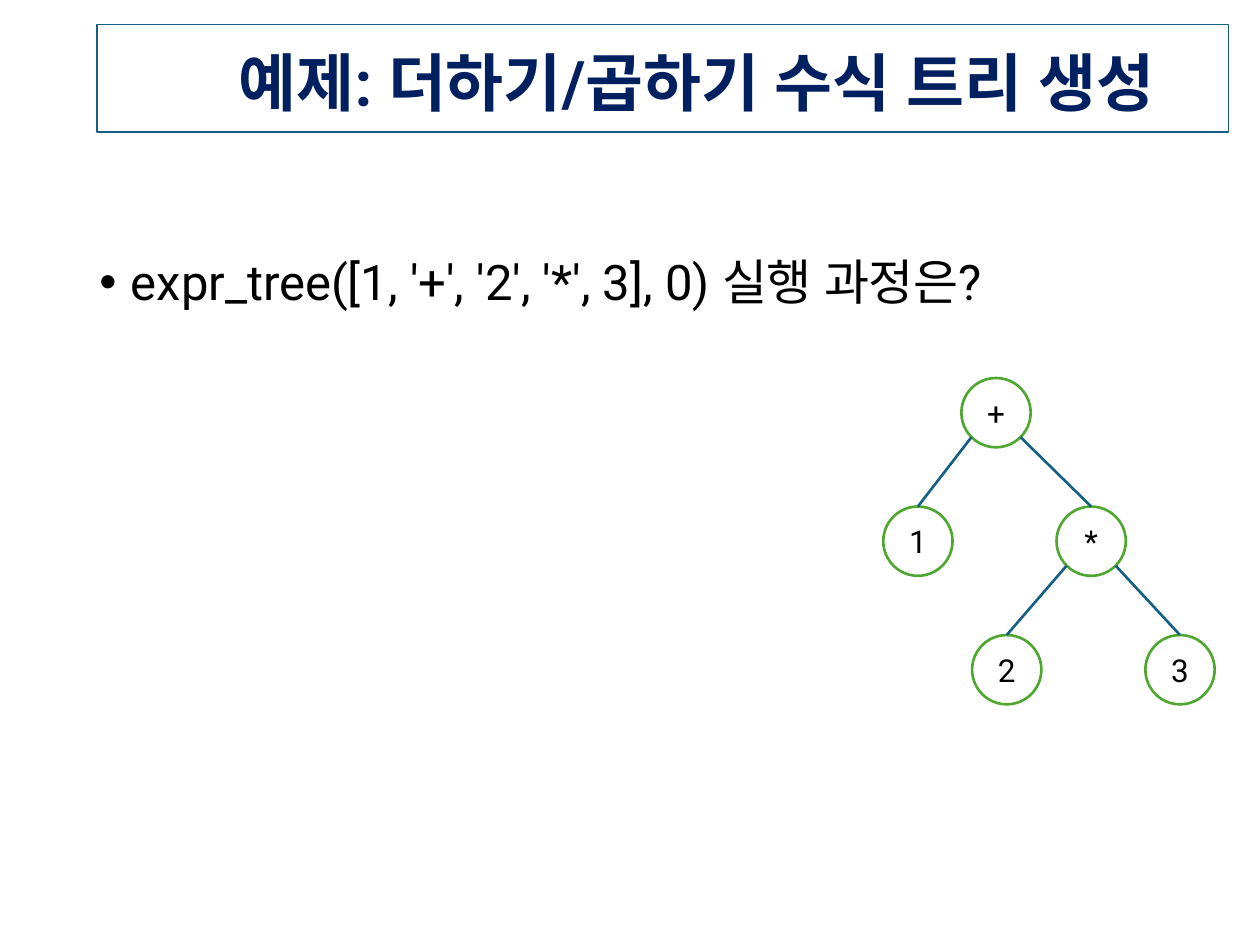
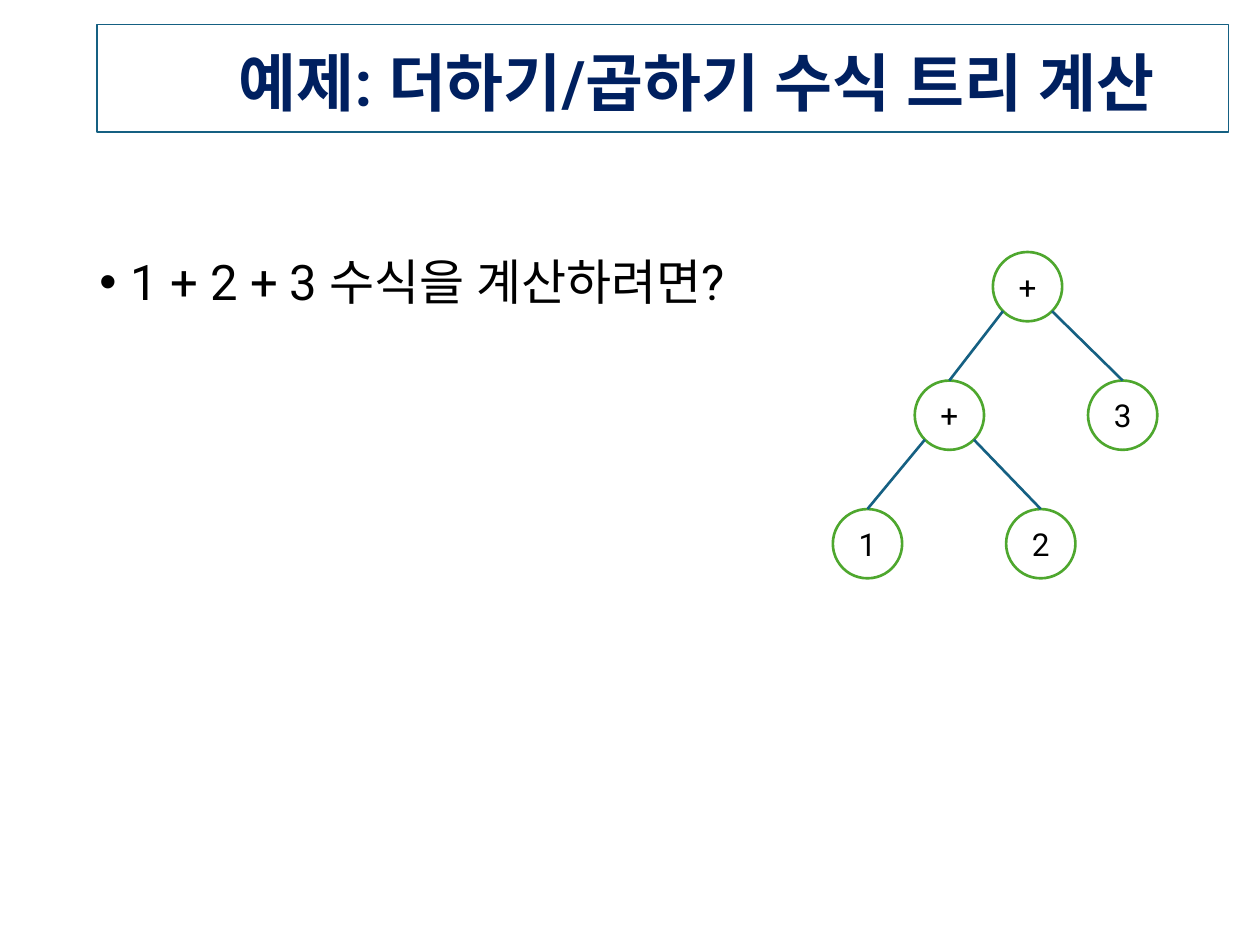
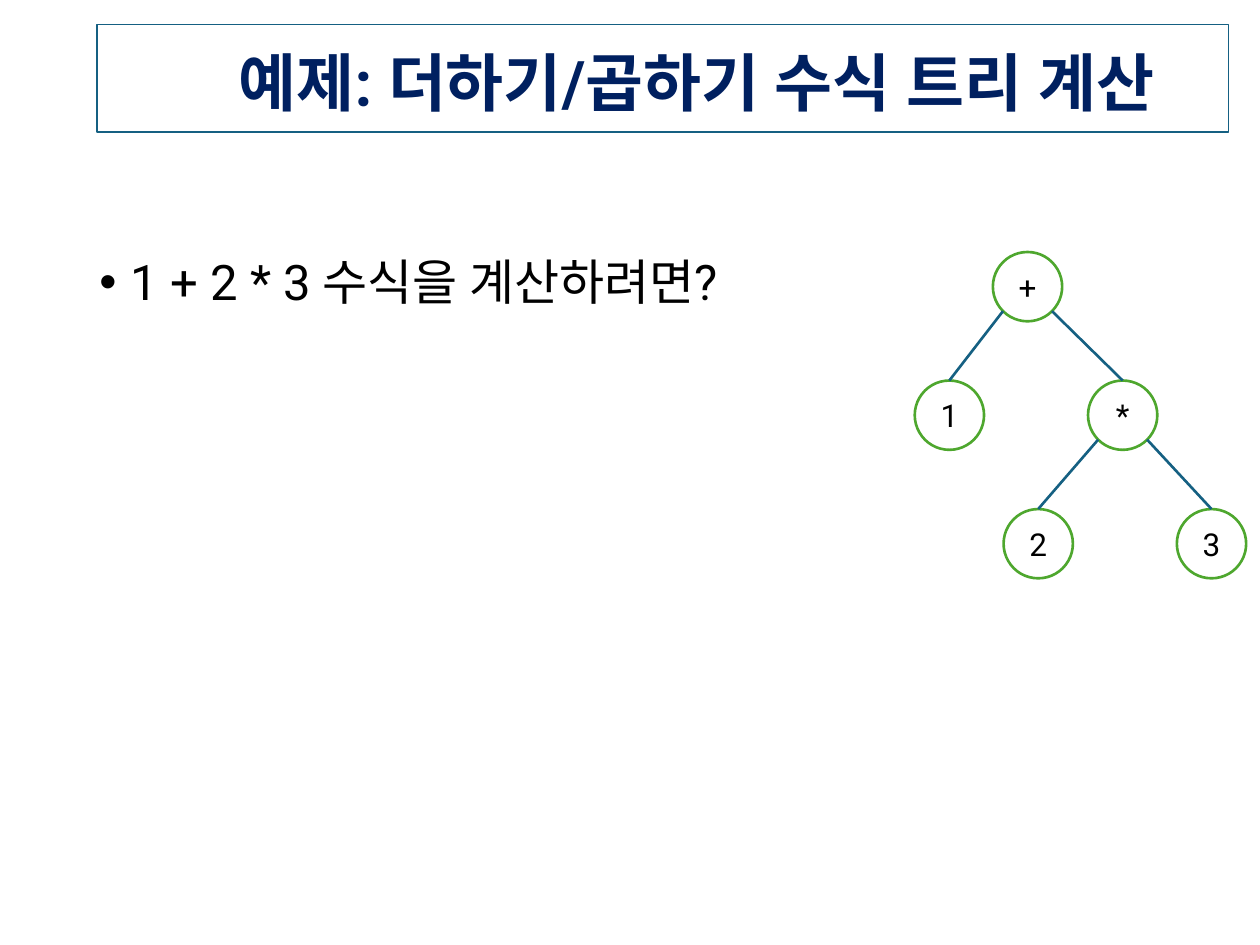
"""Build three slides about expression trees for addition and multiplication."""

from dataclasses import dataclass
from math import sqrt
from typing import Optional

from lxml import etree
from pptx import Presentation
from pptx.dml.color import RGBColor
from pptx.enum.shapes import MSO_CONNECTOR, MSO_SHAPE
from pptx.enum.text import MSO_ANCHOR, MSO_AUTO_SIZE, PP_ALIGN
from pptx.oxml.ns import qn
from pptx.util import Emu, Inches, Pt

OVAL = MSO_SHAPE.OVAL
LINE = MSO_CONNECTOR.STRAIGHT
MIDDLE = MSO_ANCHOR.MIDDLE
TOP = MSO_ANCHOR.TOP
GROW = MSO_AUTO_SIZE.SHAPE_TO_FIT_TEXT
CENTER, LEFT, RIGHT = PP_ALIGN.CENTER, PP_ALIGN.LEFT, PP_ALIGN.RIGHT

WIDTH, HEIGHT = Inches(10), Inches(7.5)
COLS = 100
LAYOUT = 5


@dataclass(frozen=True)
class Theme:
    font: str = "Roboto"
    navy: RGBColor = RGBColor(0x00, 0x20, 0x60)
    teal: RGBColor = RGBColor(0x15, 0x60, 0x82)
    green: RGBColor = RGBColor(0x4E, 0xA7, 0x2E)
    black: RGBColor = RGBColor(0, 0, 0)
    white: RGBColor = RGBColor(255, 255, 255)
    head: int = 36
    body: int = 28
    node: int = 18
    thin: float = 0.75
    thick: float = 1.5
    lead: float = 0.9


@dataclass(frozen=True)
class Box:
    left: float
    top: float
    width: float
    height: float


@dataclass(frozen=True)
class Node:
    sign: str
    left: Optional["Node"] = None
    right: Optional["Node"] = None
    lean: float = 6.7


@dataclass(frozen=True)
class Page:
    title: str
    point: str
    tree: Node
    col: float
    row: float


THEME = Theme()
HEAD = Box(7.7, 2.9, 89.8, 6.6)
BODY = Box(6.9, 20, 93.1, 47.6)
SIZE = 5.5
SPAN = 13.75
STEP = 10.2
RIM = SIZE / 2 / sqrt(2)

PRODUCT = Node("+", Node("1"), Node("*", Node("2"), Node("3")), 6.2)
SUM = Node("+", Node("+", Node("1"), Node("2"), 6.5), Node("3"), 6.2)
MAKE = "예제: 더하기/곱하기 수식 트리 생성"
SOLVE = "예제: 더하기/곱하기 수식 트리 계산"
PAGES = [
    Page(MAKE, "expr_tree([1, '+', '2', '*', 3], 0) 실행 과정은?", PRODUCT, 76.3, 30),
    Page(SOLVE, "1 + 2 + 3 수식을 계산하려면?", SUM, 78.8, 20),
    Page(SOLVE, "1 + 2 * 3 수식을 계산하려면?", PRODUCT, 78.8, 20),
]


def unit(count: float) -> Emu:
    """Turn grid units into a length."""
    return Emu(round(WIDTH * count / COLS))


def place(shape, box: Box) -> None:
    """Move a shape to its box on the grid."""
    shape.left, shape.top = unit(box.left), unit(box.top)
    shape.width, shape.height = unit(box.width), unit(box.height)


def style(shape, size: int, color: RGBColor, align: PP_ALIGN, bold: bool = False) -> None:
    """Format the only paragraph of a shape."""
    para = shape.text_frame.paragraphs[0]
    para.alignment = align
    for run in para.runs:
        font = run.font
        font.name, font.size, font.bold = THEME.font, Pt(size), bold
        font.color.rgb = color
        latin = run._r.rPr.find(qn("a:latin"))
        east = etree.Element(qn("a:ea"), typeface=THEME.font)
        latin.addnext(east)


def stroke(line, color: RGBColor, width: float) -> None:
    """Set the colour and width of a line."""
    line.color.rgb = color
    line.width = Pt(width)


def draw_title(slide, text: str) -> None:
    """Write the framed slide title."""
    title = slide.shapes.title
    place(title, HEAD)
    stroke(title.line, THEME.teal, THEME.thin)
    frame = title.text_frame
    frame.text = text
    frame.margin_left = frame.margin_right = unit(5.9)
    frame.margin_top, frame.margin_bottom = unit(1.2), 0
    frame.vertical_anchor = MIDDLE
    frame.word_wrap = False
    frame.auto_size = GROW
    frame.paragraphs[0].line_spacing = THEME.lead
    style(title, THEME.head, THEME.navy, RIGHT, True)


def draw_point(slide, text: str) -> None:
    """Write the bulleted question."""
    shape = slide.shapes.add_textbox(0, 0, 0, 0)
    place(shape, BODY)
    frame = shape.text_frame
    frame.word_wrap = True
    frame.vertical_anchor = TOP
    frame.text = text
    para = frame.paragraphs[0]
    para.line_spacing = THEME.lead
    props = para._p.get_or_add_pPr()
    props.set("marL", str(unit(2.5)))
    props.set("indent", str(-unit(2.5)))
    etree.SubElement(props, qn("a:buFont"), typeface="Arial")
    etree.SubElement(props, qn("a:buChar"), char="•")
    style(shape, THEME.body, THEME.black, LEFT)


def draw_edge(slide, start: tuple[float, float], end: tuple[float, float]) -> None:
    """Join two points of the tree with a line."""
    edge = slide.shapes.add_connector(LINE, *map(unit, start + end))
    stroke(edge.line, THEME.teal, THEME.thick)
    etree.SubElement(edge._element.spPr, qn("a:effectLst"))


def draw_node(slide, sign: str, col: float, row: float) -> None:
    """Draw one circle with its sign."""
    shape = slide.shapes.add_shape(OVAL, 0, 0, 0, 0)
    place(shape, Box(col, row, SIZE, SIZE))
    shape.shadow.inherit = False
    shape.fill.solid()
    shape.fill.fore_color.rgb = THEME.white
    stroke(shape.line, THEME.green, THEME.thick)
    shape.text_frame.text = sign
    shape.text_frame.vertical_anchor = MIDDLE
    style(shape, THEME.node, THEME.black, CENTER)


def draw_tree(slide, node: Node, col: float, row: float) -> None:
    """Draw a node, then its branches one step below."""
    draw_node(slide, node.sign, col, row)
    half = SIZE / 2
    shifts = (-node.lean, SPAN - node.lean)
    for child, shift, side in zip((node.left, node.right), shifts, (-RIM, RIM)):
        if child:
            low = row + STEP
            draw_tree(slide, child, col + shift, low)
            draw_edge(slide, (col + shift + half, low), (col + half + side, row + half + RIM))


def main() -> None:
    """Build and save the slides."""
    deck = Presentation()
    deck.slide_width, deck.slide_height = WIDTH, HEIGHT
    for page in PAGES:
        slide = deck.slides.add_slide(deck.slide_layouts[LAYOUT])
        draw_title(slide, page.title)
        draw_point(slide, page.point)
        draw_tree(slide, page.tree, page.col, page.row)
    deck.save("out.pptx")


if __name__ == "__main__":
    main()
